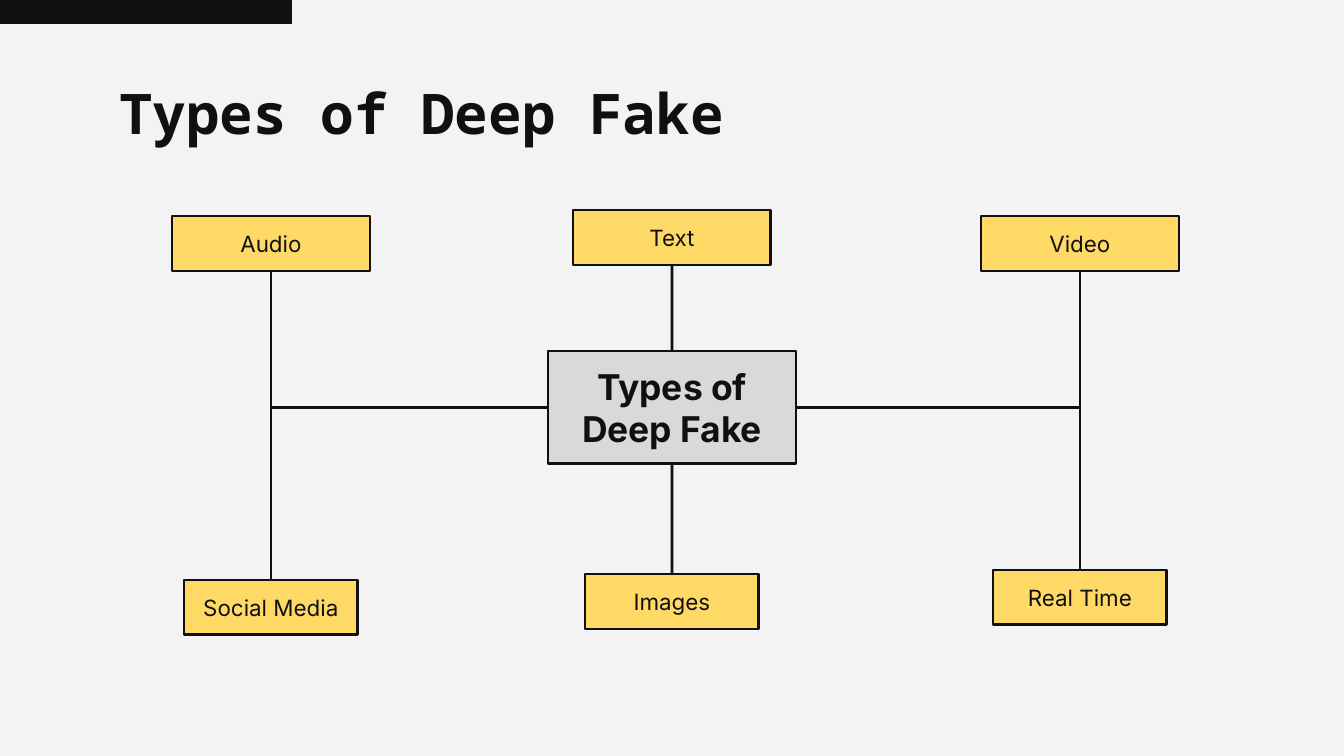
from dataclasses import dataclass

from lxml import etree
from pptx import Presentation
from pptx.dml.color import RGBColor
from pptx.enum.shapes import MSO_CONNECTOR, MSO_SHAPE
from pptx.enum.text import MSO_ANCHOR, MSO_AUTO_SIZE, PP_ALIGN
from pptx.oxml.ns import qn
from pptx.util import Emu, Pt

RECTANGLE = MSO_SHAPE.RECTANGLE
STRAIGHT, ELBOW = MSO_CONNECTOR.STRAIGHT, MSO_CONNECTOR.ELBOW
LEFT, CENTER = PP_ALIGN.LEFT, PP_ALIGN.CENTER
TOP, MIDDLE = MSO_ANCHOR.TOP, MSO_ANCHOR.MIDDLE
NO_AUTOFIT = MSO_AUTO_SIZE.NONE

SIDE_TOP, SIDE_LEFT, SIDE_BOTTOM, SIDE_RIGHT = range(4)
EMU_PER_PX = 914400 / 134.4
SLIDE_WIDTH, SLIDE_HEIGHT = 1344, 756
INSET = 13
TOPIC_HEIGHT = 55
UPPER_WIDTH, LOWER_WIDTH = 198, 174
LEFT_COLUMN, MIDDLE_COLUMN, RIGHT_COLUMN = 271, 672, 1080

TOPICS = [
    ("Text", MIDDLE_COLUMN, 210, UPPER_WIDTH, SIDE_TOP, SIDE_BOTTOM),
    ("Audio", LEFT_COLUMN, 216, UPPER_WIDTH, SIDE_LEFT, SIDE_BOTTOM),
    ("Video", RIGHT_COLUMN, 216, UPPER_WIDTH, SIDE_RIGHT, SIDE_BOTTOM),
    ("Social Media", LEFT_COLUMN, 580, LOWER_WIDTH, SIDE_LEFT, SIDE_TOP),
    ("Images", MIDDLE_COLUMN, 574, LOWER_WIDTH, SIDE_BOTTOM, SIDE_TOP),
    ("Real Time", RIGHT_COLUMN, 570, LOWER_WIDTH, SIDE_RIGHT, SIDE_TOP),
]


@dataclass(frozen=True)
class Theme:
    background: RGBColor = RGBColor.from_string("F3F3F3")
    ink: RGBColor = RGBColor.from_string("111010")
    topic: RGBColor = RGBColor.from_string("FFD966")
    hub: RGBColor = RGBColor.from_string("D9D9D9")
    title_font: str = "Noto Sans Mono"
    body_font: str = "Inter"
    title_size: int = 30
    hub_size: int = 19
    topic_size: int = 12
    line_width: float = 1.5


THEME = Theme()


def px(length):
    return Emu(round(length * EMU_PER_PX))


def write(frame, text, font_name, size, bold, align, anchor):
    frame.word_wrap = True
    frame.auto_size = NO_AUTOFIT
    frame.vertical_anchor = anchor
    frame.margin_left = frame.margin_right = px(INSET)
    frame.margin_top = frame.margin_bottom = px(INSET)
    paragraph = frame.paragraphs[0]
    paragraph.text = text
    paragraph.alignment = align
    paragraph.line_spacing = 1.0
    paragraph.font.name = font_name
    paragraph.font.size = Pt(size)
    paragraph.font.bold = bold
    paragraph.font.color.rgb = THEME.ink


def draw_line(line):
    line.color.rgb = THEME.ink
    line.width = Pt(THEME.line_width)


def add_block(slide, left, top, width, height, fill):
    block = slide.shapes.add_shape(RECTANGLE, px(left), px(top), px(width), px(height))
    block.shadow.inherit = False
    block.fill.solid()
    block.fill.fore_color.rgb = fill
    block.line.fill.background()
    return block


def add_box(slide, text, center, top, width, height, fill, size, bold=False):
    box = add_block(slide, center - width // 2, top, width, height, fill)
    draw_line(box.line)
    write(box.text_frame, text, THEME.body_font, size, bold, CENTER, MIDDLE)
    return box


def add_branch(slide, hub, hub_side, topic, topic_side):
    bent = hub_side in (SIDE_LEFT, SIDE_RIGHT)
    branch = slide.shapes.add_connector(ELBOW if bent else STRAIGHT, 0, 0, 0, 0)
    branch.begin_connect(hub, hub_side)
    branch.end_connect(topic, topic_side)
    draw_line(branch.line)
    properties = branch._element.spPr
    if bent:
        properties.find(qn("a:prstGeom")).set("prst", "bentConnector2")
    etree.SubElement(properties, qn("a:effectLst"))


def add_title(slide, text):
    title = slide.shapes.title
    title.left, title.top, title.width, title.height = map(px, (106, 66, 1133, 85))
    write(title.text_frame, text, THEME.title_font, THEME.title_size, True, LEFT, TOP)


def main():
    presentation = Presentation()
    presentation.slide_width = px(SLIDE_WIDTH)
    presentation.slide_height = px(SLIDE_HEIGHT)
    slide = presentation.slides.add_slide(presentation.slide_layouts[5])
    slide.background.fill.solid()
    slide.background.fill.fore_color.rgb = THEME.background

    add_block(slide, 0, 0, 292, 24, THEME.ink)
    add_title(slide, "Types of Deep Fake")
    hub = add_box(slide, "Types of Deep Fake", MIDDLE_COLUMN, 351, 248, 113,
                  THEME.hub, THEME.hub_size, bold=True)
    for name, center, top, width, hub_side, topic_side in TOPICS:
        topic = add_box(slide, name, center, top, width, TOPIC_HEIGHT,
                        THEME.topic, THEME.topic_size)
        add_branch(slide, hub, hub_side, topic, topic_side)
    presentation.save("out.pptx")


if __name__ == "__main__":
    main()
